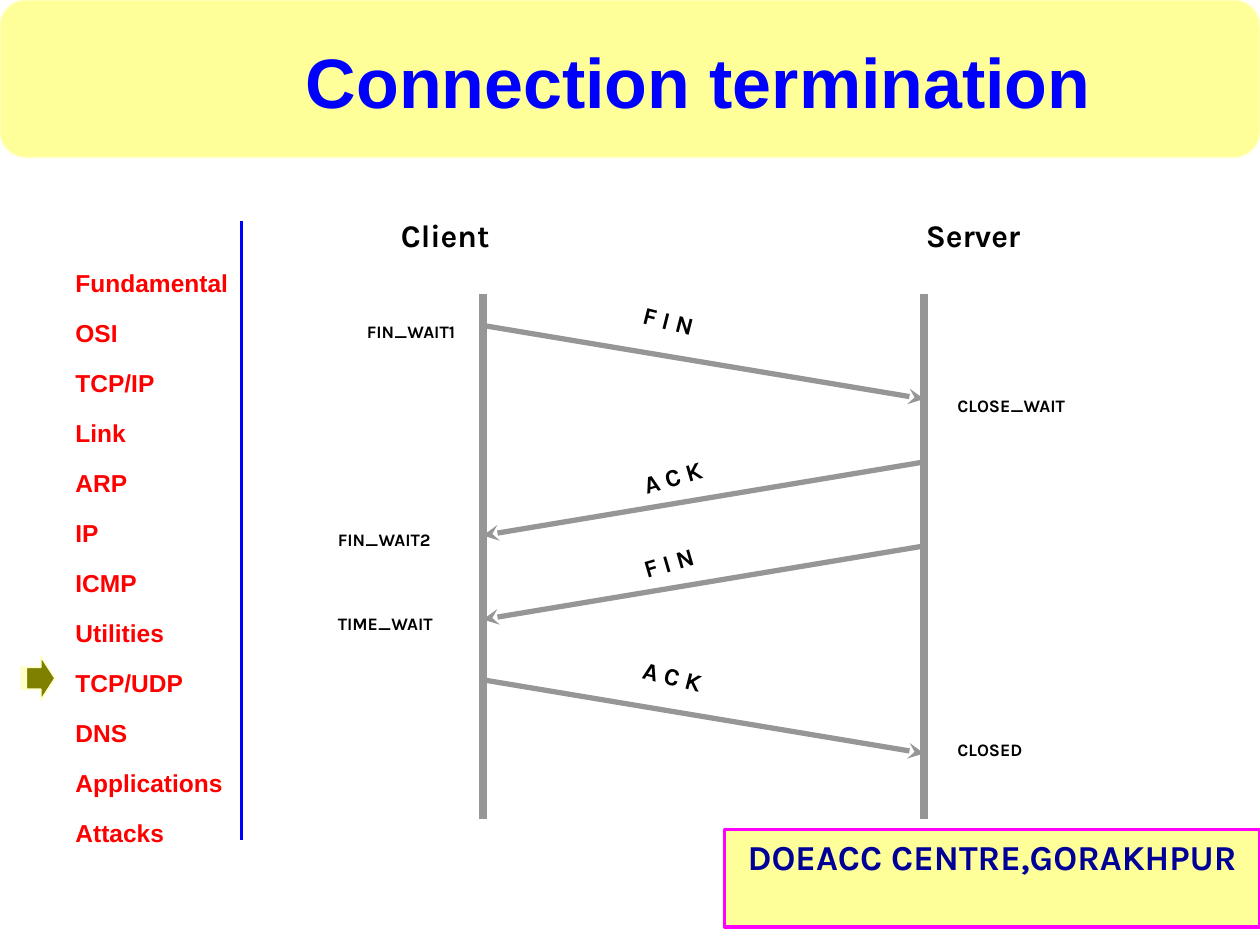
from lxml.etree import SubElement
from pptx import Presentation
from pptx.dml.color import RGBColor
from pptx.enum.shapes import MSO_CONNECTOR as Connector, MSO_SHAPE as Shape
from pptx.enum.text import MSO_ANCHOR as Anchor, MSO_AUTO_SIZE as AutoSize, PP_ALIGN as Align
from pptx.oxml.ns import qn
from pptx.util import Inches, Pt

THEME = {
    "heading_font": "Arial", "body_font": "Karla",
    "title": 40, "footer": 20, "end": 18, "message": 14, "topic": 14, "state": 10,
    "blue": "0000FF", "navy": "000099", "red": "FF0000", "black": "000000",
    "grey": "969696", "yellow": "FFFF99", "cream": "FFFFCC",
    "magenta": "FF00FF", "olive": "808000",
}

presentation = Presentation()
presentation.slide_width, presentation.slide_height = Inches(10), Inches(7.5)
slide = presentation.slides.add_slide(presentation.slide_layouts[5])
shapes = slide.shapes

# Grid of 120 columns by 90 rows
CELL = presentation.slide_width / 120


def cells(*values):
    return [round(value * CELL) for value in values]


def write(shape, lines, size, color, font="body_font", align=Align.LEFT,
          anchor=Anchor.TOP, spacing=None):
    frame = shape.text_frame
    frame.word_wrap, frame.auto_size = True, AutoSize.NONE
    frame.vertical_anchor = anchor
    frame.text = "\n".join(lines)
    for paragraph in frame.paragraphs:
        paragraph.alignment = align
        paragraph.line_spacing = spacing
        paragraph.font.name = THEME[font]
        paragraph.font.size = Pt(THEME[size])
        paragraph.font.bold = True
        paragraph.font.color.rgb = RGBColor.from_string(THEME[color])


# Banner, topic marker and footer box
boxes = {}
for name, preset, place, fill, line, width in [
    ("banner", Shape.FLOWCHART_ALTERNATE_PROCESS, (0, 0, 120, 15), "yellow", "cream", 0.75),
    ("footer", Shape.RECTANGLE, (69, 79, 51, 9.25), "yellow", "magenta", 2.25),
    ("marker", Shape.STRIPED_RIGHT_ARROW, (2, 62.5, 3.25, 4.2), "olive", "cream", 1),
]:
    box = boxes[name] = shapes.add_shape(preset, *cells(*place))
    box.shadow.inherit = False
    box.fill.solid()
    box.fill.fore_color.rgb = RGBColor.from_string(THEME[fill])
    box.line.color.rgb = RGBColor.from_string(THEME[line])
    box.line.width = Pt(width)
boxes["marker"].adjustments[1] = 0.42
write(boxes["footer"], ["DOEACC CENTRE,GORAKHPUR"], "footer", "navy", align=Align.CENTER)

# Title, brought in front of the banner
title = shapes.title
title.left, title.top, title.width, title.height = cells(18, 3, 97, 9.25)
write(title, ["Connection termination"], "title", "blue", "heading_font",
      Align.CENTER, Anchor.BOTTOM)
boxes["banner"].element.addnext(title.element)

# Topic list
topics = ["Fundamental", "OSI", "TCP/IP", "Link", "ARP", "IP", "ICMP", "Utilities",
          "TCP/UDP", "DNS", "Applications", "Attacks"]
write(shapes.add_textbox(*cells(6, 23, 21, 59)), topics, "topic", "red",
      "heading_font", spacing=1.7)

# Sidebar rule, lifelines and message arrows
CLIENT, SERVER = 46, 88
messages = [  # text, from, to, first row, last row
    ("F I N", CLIENT, SERVER, 31, 38),
    ("A C K", SERVER, CLIENT, 44, 51),
    ("F I N", SERVER, CLIENT, 52, 59),
    ("A C K", CLIENT, SERVER, 64.75, 71.75),
]
lines = [((23, 21, 23, 80), "blue", 1.5, False)]
lines += [((column, 28, column, 78), "grey", 5, False) for column in (CLIENT, SERVER)]
lines += [((start, first, end, last), "grey", 3, True)
          for _, start, end, first, last in messages]
for ends, color, width, arrow in lines:
    connector = shapes.add_connector(Connector.STRAIGHT, *cells(*ends))
    connector.line.color.rgb = RGBColor.from_string(THEME[color])
    connector.line.width = Pt(width)
    if arrow:
        SubElement(connector.line._get_or_add_ln(), qn("a:tailEnd"), type="stealth")
    SubElement(connector.element.spPr, qn("a:effectLst"))

# Message labels, tilted along their arrows
for text, start, end, first, last in messages:
    to_server = start == CLIENT
    label = shapes.add_textbox(*cells(60, first - (2 if to_server else 1), 11, 4.05))
    label.rotation = 14.3 if to_server else 343.8
    write(label, [text], "message", "black")

# End points and connection states
for text, left, top, width, height, size in [
    ("Client", 37, 20, 13, 4.8, "end"),
    ("Server", 87, 20, 13, 4.8, "end"),
    ("FIN_WAIT1", 33.75, 30, 15, 3.2, "state"),
    ("FIN_WAIT2", 31, 49.75, 15, 3.2, "state"),
    ("TIME_WAIT", 31, 57.75, 15, 3.2, "state"),
    ("CLOSE_WAIT", 90, 37, 15, 3.2, "state"),
    ("CLOSED", 90, 69.75, 15, 3.2, "state"),
]:
    write(shapes.add_textbox(*cells(left, top, width, height)), [text], size, "black")

presentation.save("out.pptx")
